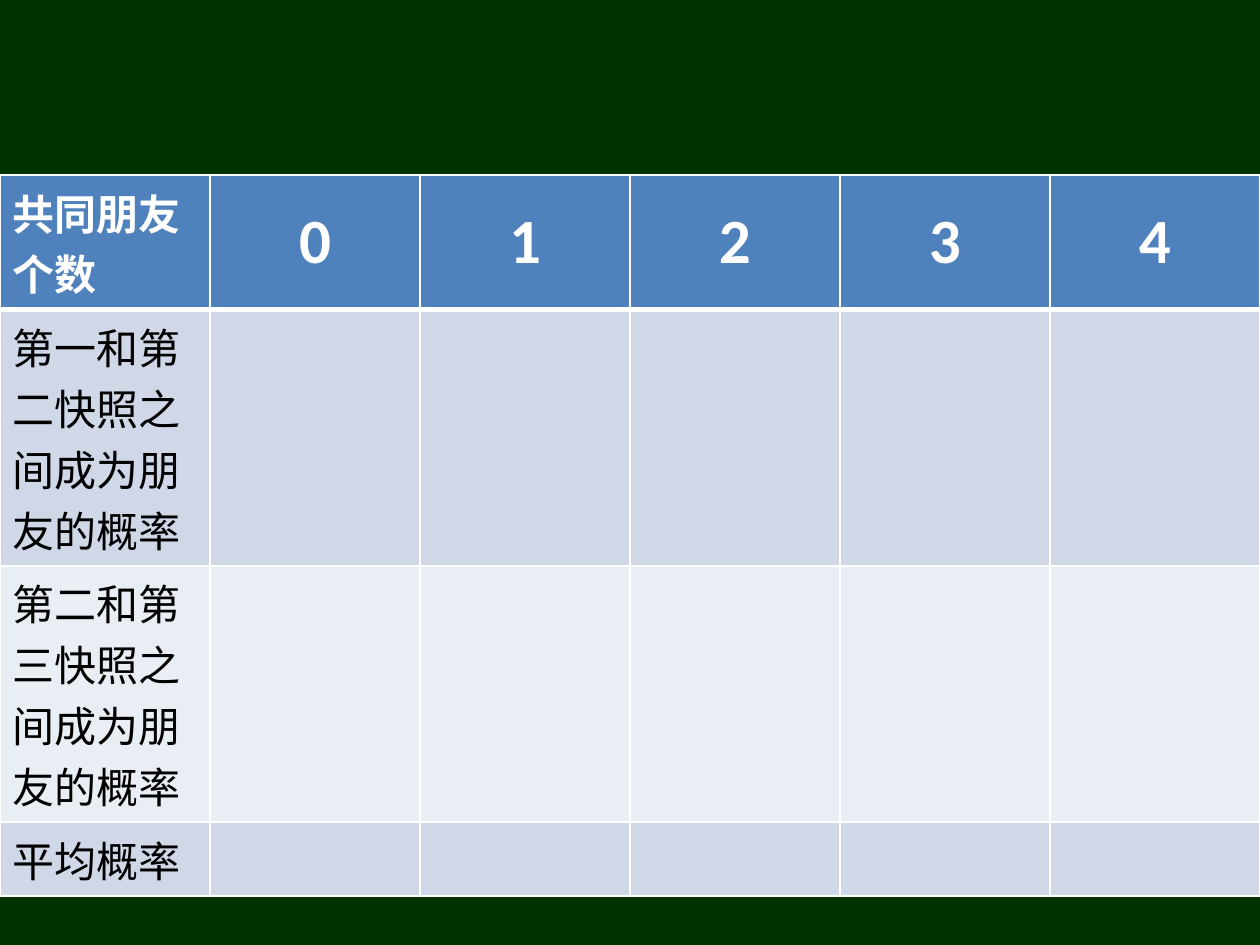
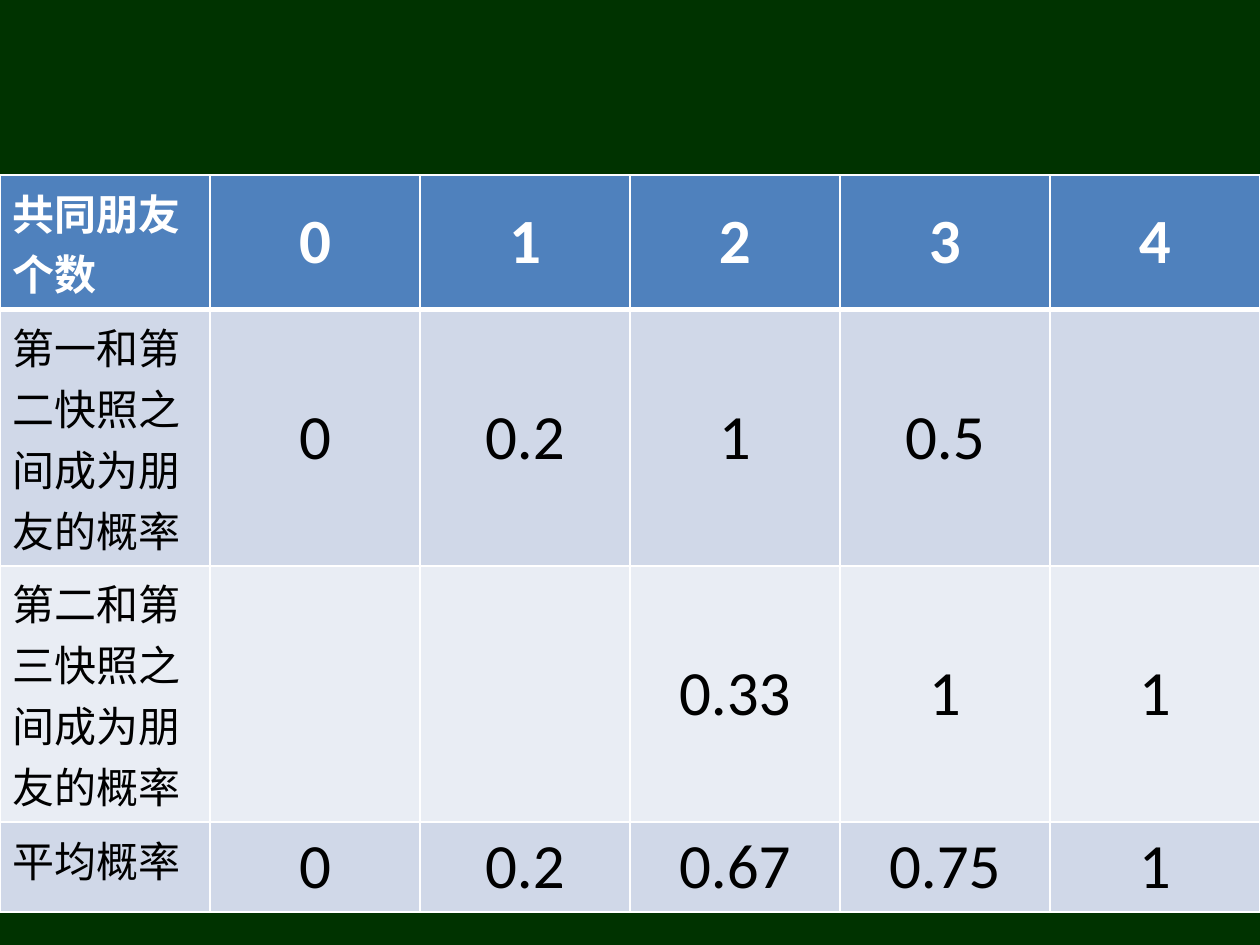
from lxml.etree import SubElement
from pptx import Presentation
from pptx.dml.color import RGBColor
from pptx.enum.text import MSO_ANCHOR as Anchor, PP_ALIGN as Align
from pptx.oxml import parse_xml
from pptx.oxml.ns import nsdecls, qn
from pptx.util import Pt

COLOURS = {
    "background": "003300",
    "header": "4F81BD",
    "odd_row": "D0D8E8",
    "even_row": "E9EDF4",
    "border": "FFFFFF",
    "header_text": "FFFFFF",
    "body_text": "000000",
}
LABEL_FONT, NUMBER_FONT = "Noto Sans CJK SC", "Calibri"
LABEL_SIZE, NUMBER_SIZE = 24, 36
SLIDE_WIDTH, SLIDE_HEIGHT = 720, 540
TABLE_TOP = 100
ROW_HEIGHTS = [76.5, 146.5, 146.5]
THIN, THICK = 1, 3

FRIEND_COUNTS = ["0", "1", "2", "3", "4"]
ROW_LABELS = [
    "共同朋友个数",
    "第一和第二快照之间成为朋友的概率",
    "第二和第三快照之间成为朋友的概率",
    "平均概率",
]
NO_ANSWERS = [[""] * 5] * 3
ANSWERS = [
    ["0", "0.2", "1", "0.5", ""],
    ["", "", "0.33", "1", "1"],
    ["0", "0.2", "0.67", "0.75", "1"],
]


def colour(name):
    """Return the named colour of the deck."""
    return RGBColor.from_string(COLOURS[name])


def set_borders(cell, top, bottom):
    """Draw the four borders of a cell, thin at both sides."""
    properties = cell._tc.get_or_add_tcPr()
    widths = {"lnL": THIN, "lnR": THIN, "lnT": top, "lnB": bottom}
    for position, (tag, width) in enumerate(widths.items()):
        line = parse_xml(
            f'<a:{tag} {nsdecls("a")} w="{Pt(width)}"><a:solidFill>'
            f'<a:srgbClr val="{COLOURS["border"]}"/></a:solidFill></a:{tag}>'
        )
        properties.insert(position, line)


def write_text(cell, text, is_label, is_header):
    """Put one run of label or number text in a cell."""
    para = cell.text_frame.paragraphs[0]
    para.alignment = Align.LEFT if is_label else Align.CENTER
    span = para.add_run()
    span.text = text
    font = span.font
    font.name = LABEL_FONT if is_label else NUMBER_FONT
    font.size = Pt(LABEL_SIZE if is_label else NUMBER_SIZE)
    font.bold = is_header
    font.color.rgb = colour("header_text" if is_header else "body_text")
    east_asian = SubElement(span._r.get_or_add_rPr(), qn("a:ea"))
    east_asian.set("typeface", LABEL_FONT)


def add_probability_table(page, probabilities, last_height):
    """Add the table of friendship probabilities by number of common friends."""
    values = [FRIEND_COUNTS, *probabilities]
    rows = [[label, *numbers] for label, numbers in zip(ROW_LABELS, values)]
    heights = [*ROW_HEIGHTS, last_height]
    table = page.shapes.add_table(
        len(rows), len(rows[0]), Pt(0), Pt(TABLE_TOP),
        Pt(SLIDE_WIDTH), Pt(sum(heights)),
    ).table
    fills = ["header", "odd_row", "even_row", "odd_row"]
    for row_index, texts in enumerate(rows):
        table.rows[row_index].height = Pt(heights[row_index])
        is_header = row_index == 0
        is_last = row_index == len(rows) - 1
        for column_index, text in enumerate(texts):
            cell = table.cell(row_index, column_index)
            is_label = column_index == 0
            cell.fill.solid()
            cell.fill.fore_color.rgb = colour(fills[row_index])
            set_borders(
                cell,
                top=THICK if row_index == 1 else THIN,
                bottom=THICK if is_header else THIN,
            )
            cell.vertical_anchor = (
                Anchor.TOP if is_label or is_last else Anchor.MIDDLE
            )
            if text:
                write_text(cell, text, is_label, is_header)


def add_page(deck):
    """Add an empty page with the dark green background."""
    page = deck.slides.add_slide(deck.slide_layouts.get_by_name("Blank"))
    page.background.fill.solid()
    page.background.fill.fore_color.rgb = colour("background")
    return page


def main():
    """Build the question page and the answer page."""
    deck = Presentation()
    deck.slide_width, deck.slide_height = Pt(SLIDE_WIDTH), Pt(SLIDE_HEIGHT)
    add_probability_table(add_page(deck), NO_ANSWERS, last_height=42)
    add_probability_table(add_page(deck), ANSWERS, last_height=51)
    deck.save("out.pptx")


if __name__ == "__main__":
    main()
